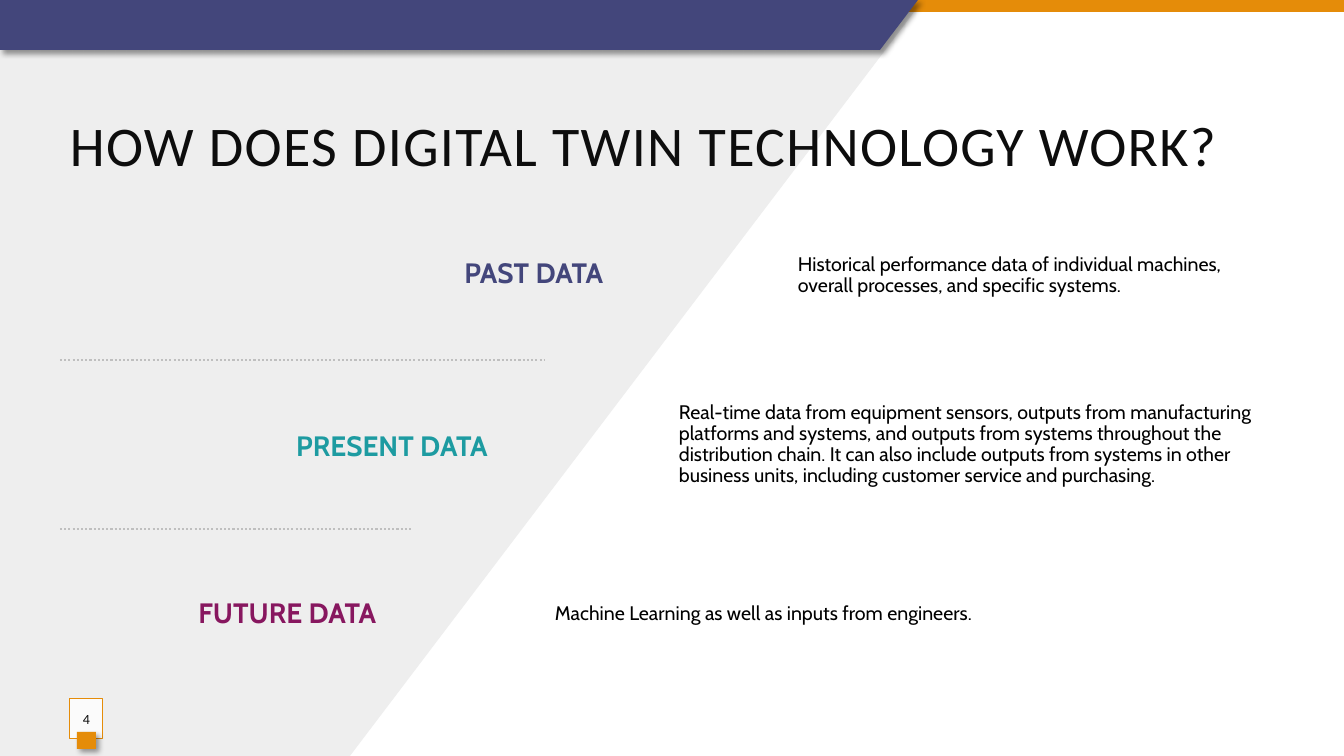
import pptx
import pptx.util
import pptx.dml.color
import pptx.enum.dml
import pptx.enum.shapes
import pptx.enum.text
import pptx.oxml
import pptx.oxml.ns

RGBColor = pptx.dml.color.RGBColor
ALIGN = pptx.enum.text.PP_ALIGN
MIDDLE = pptx.enum.text.MSO_ANCHOR.MIDDLE
RECTANGLE = pptx.enum.shapes.MSO_SHAPE.RECTANGLE

WHITE = RGBColor(0xFF, 0xFF, 0xFF)
BLACK = RGBColor(0x00, 0x00, 0x00)
INK = RGBColor(0x0D, 0x0D, 0x0D)
PALE_GRAY = RGBColor(0xEE, 0xEE, 0xEE)
DIVIDER_GRAY = RGBColor(0xBF, 0xBF, 0xBF)
ORANGE = RGBColor(0xE5, 0x8C, 0x09)
INDIGO = RGBColor(0x43, 0x46, 0x7B)
TEAL = RGBColor(0x1D, 0x9B, 0xA1)
PLUM = RGBColor(0x87, 0x17, 0x5F)

EMU_PER_PX = 914400 / 100.8
WIDTH, HEIGHT = 1344, 756
MARGIN = 60
CONTENT_WIDTH = 1204
LABEL_HEIGHT = 46
DETAIL_HEIGHT = 101

STAGES = [
    ("PAST DATA", INDIGO, 225, 251, 613, 788,
     "Historical performance data of individual machines, overall processes, "
     "and specific systems."),
    ("PRESENT DATA ", TEAL, 394, 424, 504, 669,
     "Real-time data from equipment sensors, outputs from manufacturing "
     "platforms and systems, and outputs from systems throughout the "
     "distribution chain. It can also include outputs from systems in other "
     "business units, including customer service and purchasing."),
    ("FUTURE DATA", PLUM, 564, 591, 386, 545,
     "Machine Learning as well as inputs from engineers."),
]
DIVIDERS = [(360, 484), (529, 353)]


def px(length):
    return pptx.util.Emu(round(length * EMU_PER_PX))


def paint(shape, color):
    shape.shadow.inherit = False
    shape.fill.solid()
    shape.fill.fore_color.rgb = color
    shape.line.fill.background()
    return shape


def add_rectangle(slide, left, top, width, height, color):
    shape = slide.shapes.add_shape(
        RECTANGLE, px(left), px(top), px(width), px(height))
    return paint(shape, color)


def add_polygon(slide, left, top, points, color):
    builder = slide.shapes.build_freeform(*points[0], scale=EMU_PER_PX)
    builder.add_line_segments(points[1:], close=True)
    return paint(builder.convert_to_shape(px(left), px(top)), color)


def add_drop_shadow(shape):
    effects = shape.element.spPr.find(pptx.oxml.ns.qn("a:effectLst"))
    effects.append(pptx.oxml.parse_xml(
        f'<a:outerShdw {pptx.oxml.ns.nsdecls("a")} blurRad="50800" '
        'dist="38100" dir="2700000" algn="tl" rotWithShape="0">'
        '<a:srgbClr val="000000"><a:alpha val="40000"/></a:srgbClr>'
        '</a:outerShdw>'))


def format_text(shape, text, font_name, size, color, align=ALIGN.LEFT):
    frame = shape.text_frame
    frame.word_wrap = True
    frame.vertical_anchor = MIDDLE
    frame.text = text
    paragraph = frame.paragraphs[0]
    paragraph.alignment = align
    font = paragraph.runs[0].font
    font.name = font_name
    font.size = pptx.util.Pt(size)
    font.color.rgb = color
    return paragraph


def add_text(slide, left, top, width, height, text, font_name, size, color,
             align=ALIGN.LEFT):
    box = slide.shapes.add_textbox(px(left), px(top), px(width), px(height))
    paragraph = format_text(box, text, font_name, size, color, align)
    paragraph.line_spacing = 0.9
    return paragraph


def add_backdrop(slide, left, top, width, height):
    edge = left + 918
    add_polygon(slide, left, top,
                [(left, top), (edge, top), (edge, top + 7),
                 (left + 350, top + height), (left, top + height)], PALE_GRAY)
    add_rectangle(slide, left, top, width, 12, ORANGE)
    banner = add_polygon(slide, left, top,
                         [(left, top), (edge, top), (edge - 38, top + 50),
                          (left, top + 50)], INDIGO)
    add_drop_shadow(banner)


def add_title(slide, left, top, width, height):
    paragraph = add_text(slide, left, top, width, height,
                         "HOW DOES DIGITAL TWIN TECHNOLOGY WORK?",
                         "Calibri", 40, INK)
    paragraph.runs[0].font._element.set("spc", "100")


def add_stage(slide, left, top, width, height, label, color, label_top,
              label_right, detail_left, detail):
    name = add_text(slide, left, label_top, label_right - left, LABEL_HEIGHT,
                    label, "Cabin", 20, color, ALIGN.RIGHT)
    name.runs[0].font.bold = True
    description = add_text(slide, detail_left, top, left + width - detail_left,
                           height, detail, "Cabin", 14, BLACK)
    for paragraph in (name, description):
        paragraph.space_after = pptx.util.Pt(2)


def add_divider(slide, left, top, width):
    line = slide.shapes.add_connector(
        pptx.enum.shapes.MSO_CONNECTOR.STRAIGHT,
        px(left), px(top), px(left + width), px(top))
    line.line.color.rgb = DIVIDER_GRAY
    line.line.width = pptx.util.Pt(1.5)
    line.line.dash_style = pptx.enum.dml.MSO_LINE.ROUND_DOT
    line.element.spPr.append(pptx.oxml.parse_xml(
        f'<a:effectLst {pptx.oxml.ns.nsdecls("a")}/>'))


def add_page_number(slide, left, top, width, height):
    frame = add_rectangle(slide, left, top, width, height, WHITE)
    color = frame.element.spPr.find(
        ".//" + pptx.oxml.ns.qn("a:srgbClr"))
    color.append(pptx.oxml.parse_xml(
        f'<a:alpha {pptx.oxml.ns.nsdecls("a")} val="82000"/>'))
    frame.line.color.rgb = ORANGE
    frame.line.width = pptx.util.Pt(0.75)
    frame.text_frame.margin_left = frame.text_frame.margin_right = 0
    format_text(frame, "4", "Calibri", 10, INK, ALIGN.CENTER)
    tab = add_rectangle(slide, left + 7, top + height - 7, 19, 17, ORANGE)
    add_drop_shadow(tab)


def main():
    presentation = pptx.Presentation()
    presentation.slide_width = px(WIDTH)
    presentation.slide_height = px(HEIGHT)
    slide = presentation.slides.add_slide(presentation.slide_layouts[6])
    add_backdrop(slide, 0, 0, WIDTH, HEIGHT)
    add_title(slide, MARGIN, 109, 1191, 78)
    for label, color, top, label_top, label_right, detail_left, detail in STAGES:
        add_stage(slide, MARGIN, top, CONTENT_WIDTH, DETAIL_HEIGHT, label,
                  color, label_top, label_right, detail_left, detail)
    add_page_number(slide, 70, 699, 33, 40)
    for top, width in DIVIDERS:
        add_divider(slide, MARGIN, top, width)
    presentation.save("out.pptx")


if __name__ == "__main__":
    main()
